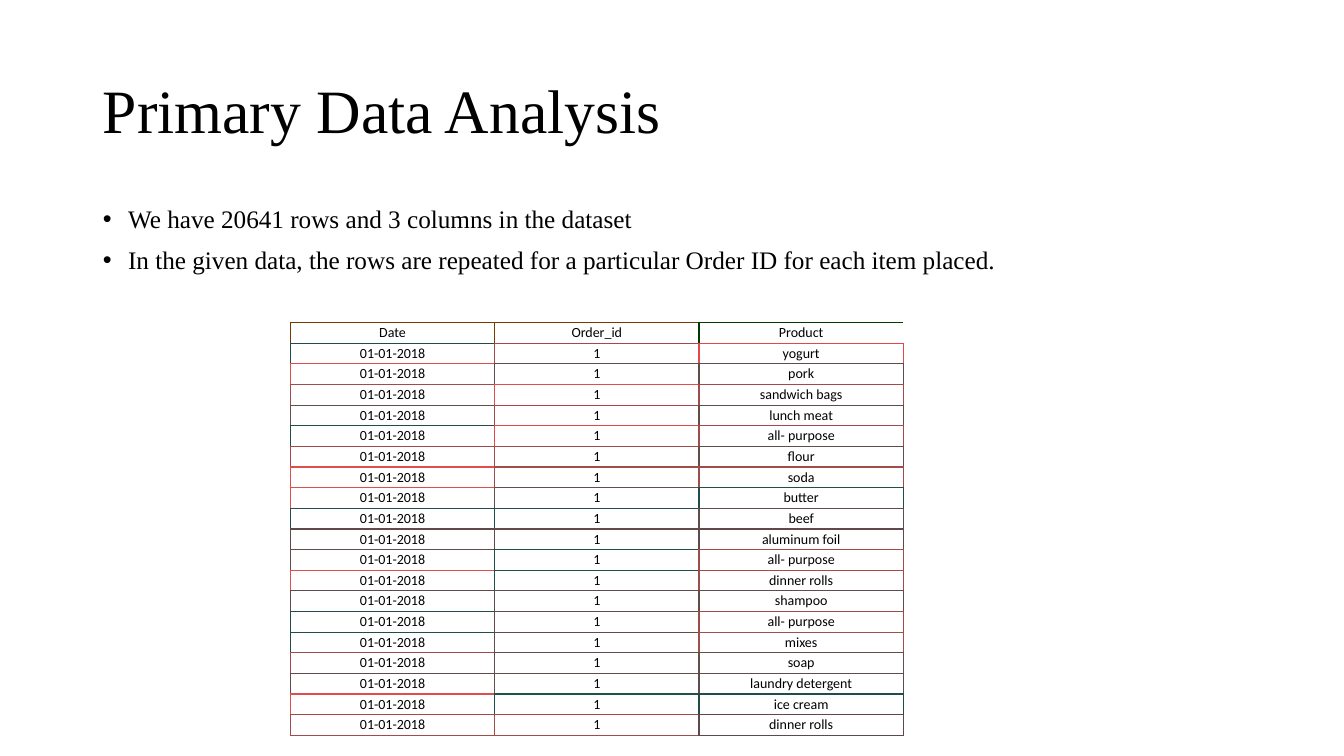
from lxml.etree import SubElement
from pptx import Presentation
from pptx.dml.color import RGBColor
from pptx.enum.text import MSO_ANCHOR, MSO_AUTO_SIZE, PP_ALIGN
from pptx.oxml.ns import qn
from pptx.util import Inches, Pt

# Content
TITLE = "Primary Data Analysis"
BULLETS = [
    "We have 20641 rows and 3 columns in the dataset",
    "In the given data, the rows are repeated for a particular Order ID for each item placed.",
]
DATE, ORDER_ID = "01-01-2018", "1"
HEADER = ("Date", "Order_id", "Product")
HEADER_LINES = ("783901", "783901", "003C01")

# Each product with the border colours of its row's three cells
PRODUCTS = [
    ("yogurt", "204D4A", "A04A4A", "E0484A"),
    ("pork", "E04D4A", "604C4A", "604C4A"),
    ("sandwich bags", "A04D4A", "E04E4A", "A04B4A"),
    ("lunch meat", "604F4A", "A0494A", "604C4A"),
    ("all- purpose", "204D4A", "E0494A", "A04B4A"),
    ("flour", "A04A4A", "A04C4A", "604E4A"),
    ("soda", "E04E4A", "A04D4A", "A04C4A"),
    ("butter", "E04E4A", "604F4A", "20504A"),
    ("beef", "204F4A", "204E4A", "604C4A"),
    ("aluminum foil", "60494A", "604A4A", "60494A"),
    ("all- purpose", "604C4A", "204F4A", "A04D4A"),
    ("dinner rolls", "E04D4A", "204F4A", "A04D4A"),
    ("shampoo", "60494A", "604A4A", "604C4A"),
    ("all- purpose", "204F4A", "604A4A", "A04B4A"),
    ("mixes", "204E4A", "604C4A", "A04F4A"),
    ("soap", "A04B4A", "604C4A", "604F4A"),
    ("laundry detergent", "604B4A", "604F4A", "604C4A"),
    ("ice cream", "E04D4A", "20504A", "204D4A"),
    ("dinner rolls", "A04C4A", "A04D4A", "60484A"),
]
ROWS = [HEADER] + [(DATE, ORDER_ID, product) for product, *_ in PRODUCTS]
LINES = [HEADER_LINES] + [tuple(lines) for _, *lines in PRODUCTS]

SERIF, SANS = "Times New Roman", "Calibri"
TABLE_WIDTH, TABLE_HEIGHT = 6.08, 4.1


def color(value):
    return RGBColor.from_string(value)


def write(paragraph, text, font=SERIF, size=18, align=PP_ALIGN.LEFT, spacing=0.9, before=0):
    run = paragraph.add_run()
    run.text = text
    run.font.name = font
    run.font.size = Pt(size)
    run.font.color.rgb = color("000000")
    paragraph.alignment = align
    paragraph.line_spacing = spacing
    paragraph.space_before = Pt(before)


def place(shape, left, top, width, height, anchor):
    shape.left, shape.top = Inches(left), Inches(top)
    shape.width, shape.height = Inches(width), Inches(height)
    shape.text_frame.auto_size = MSO_AUTO_SIZE.NONE
    shape.text_frame.vertical_anchor = anchor


def add_bullet(paragraph):
    properties = paragraph._p.get_or_add_pPr()
    properties.set("marL", str(Inches(0.25)))
    properties.set("indent", str(-Inches(0.25)))
    SubElement(properties, qn("a:buFont"), typeface="Arial")
    SubElement(properties, qn("a:buChar"), char="•")


def add_border(cell, side, line_color, width):
    line = SubElement(cell._tc.get_or_add_tcPr(), qn(f"a:ln{side}"), w=str(Pt(width)))
    if line_color is None:
        SubElement(line, qn("a:noFill"))
    else:
        fill = SubElement(line, qn("a:solidFill"))
        SubElement(fill, qn("a:srgbClr"), val=line_color)


def add_borders(cell, row, column):
    """Left and top use the cell's colour; right and bottom its neighbour's."""
    own = LINES[row][column]
    last_row, last_column = row == len(ROWS) - 1, column == len(HEADER) - 1
    if not last_column:
        right = LINES[row][column + 1]
    else:
        right = own if row else None
    bottom = own if last_row else LINES[row + 1][column]
    add_border(cell, "L", own, 1)
    add_border(cell, "R", right, 0.5 if last_column else 1)
    add_border(cell, "T", own, 1)
    add_border(cell, "B", bottom, 0.5 if last_row else 1)


presentation = Presentation()
presentation.slide_width, presentation.slide_height = Inches(13.33), Inches(7.5)
slide = presentation.slides.add_slide(presentation.slide_layouts[1])

# Title
title = slide.shapes.title
place(title, 0.92, 0.4, 11.5, 1.45, MSO_ANCHOR.MIDDLE)
write(title.text_frame.paragraphs[0], TITLE, size=44)

# Bullet list
body = slide.placeholders[1]
place(body, 0.92, 2, 10.16, 1.04, MSO_ANCHOR.TOP)
for index, bullet in enumerate(BULLETS):
    frame = body.text_frame
    paragraph = frame.add_paragraph() if index else frame.paragraphs[0]
    write(paragraph, bullet, before=10)
    add_bullet(paragraph)

# Order table
table = slide.shapes.add_table(
    len(ROWS), len(HEADER), Inches(2.88), Inches(3.2), Inches(TABLE_WIDTH), Inches(TABLE_HEIGHT)
).table
table.horz_banding = False
for table_column in table.columns:
    table_column.width = Inches(TABLE_WIDTH / len(HEADER))
for row, values in enumerate(ROWS):
    table.rows[row].height = Inches(TABLE_HEIGHT / len(ROWS))
    for column, value in enumerate(values):
        cell = table.cell(row, column)
        cell.margin_left = cell.margin_right = Inches(0.05)
        cell.margin_top = cell.margin_bottom = Inches(0.01)
        cell.vertical_anchor = MSO_ANCHOR.MIDDLE
        add_borders(cell, row, column)
        cell.fill.solid()
        cell.fill.fore_color.rgb = color("FFFFFF")
        paragraph = cell.text_frame.paragraphs[0]
        write(paragraph, value, font=SANS, size=10, align=PP_ALIGN.CENTER, spacing=1.0)
        paragraph.runs[0].font.bold = False

presentation.save("out.pptx")
